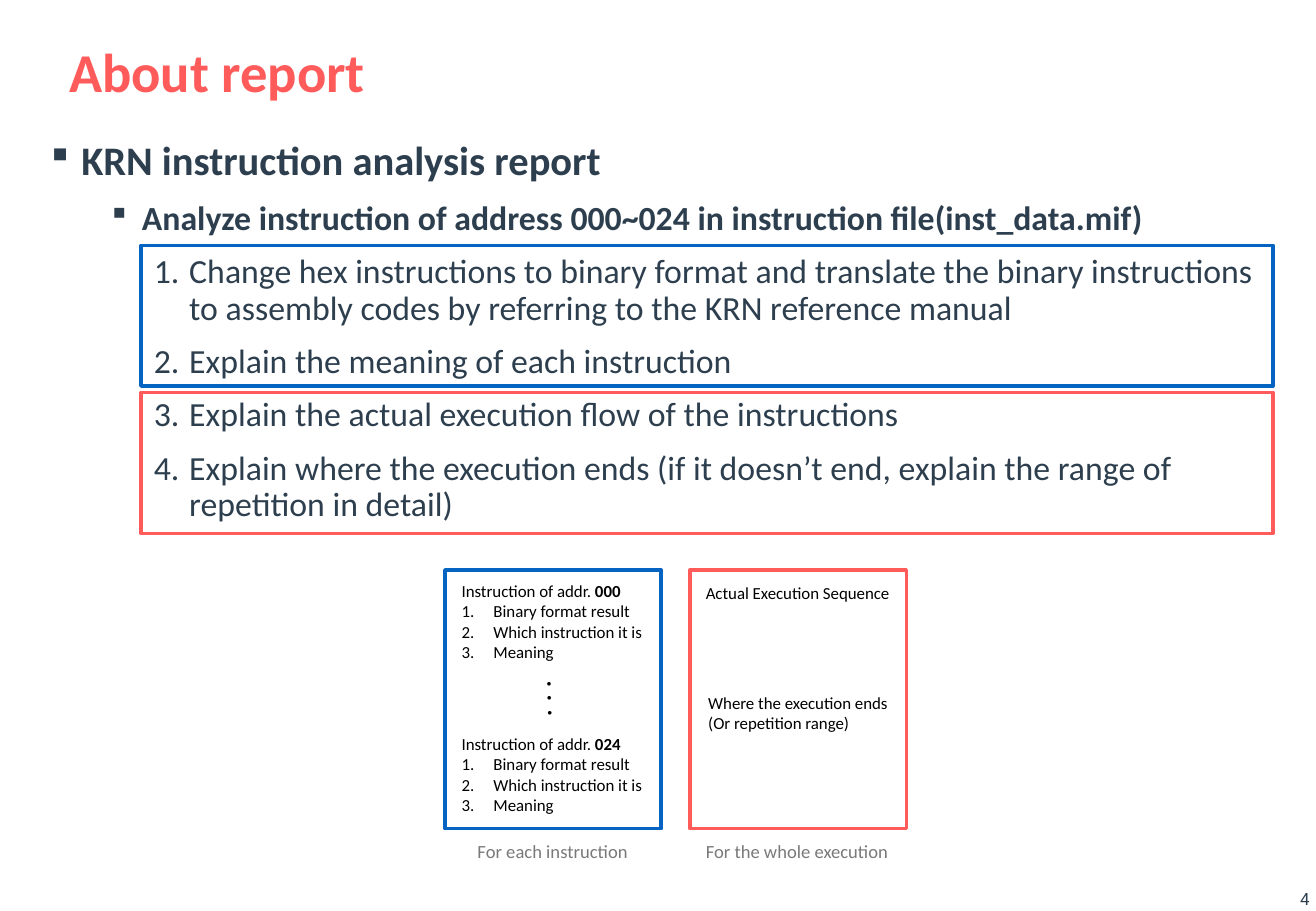
from dataclasses import dataclass

from lxml.etree import SubElement
from pptx import Presentation
from pptx.dml.color import RGBColor
from pptx.enum.shapes import MSO_SHAPE
from pptx.enum.text import MSO_ANCHOR, PP_ALIGN
from pptx.oxml.ns import qn
from pptx.util import Pt


@dataclass(frozen=True)
class Theme:
    """Colours, fonts and type sizes of the slide."""
    ink: str = "2D3F4E"
    black: str = "000000"
    grey: str = "797979"
    blue: str = "0563C1"
    red: str = "FF5B5B"
    font: str = "Calibri"
    number_font: str = "Roboto"
    bullet_font: str = "Wingdings"
    title: float = 32.4
    heading: float = 24
    body: float = 20
    dots: float = 18
    caption: float = 11
    small: float = 10


THEME = Theme()
SQUARE = "§"
NUMBER = "1."


def add_frame(s, left, top, width, height, color):
    """Draw an unfilled rectangle with a coloured outline."""
    sp = s.shapes.add_shape(MSO_SHAPE.RECTANGLE, Pt(left), Pt(top), Pt(width), Pt(height))
    sp.shadow.inherit = False
    sp.fill.background()
    sp.line.color.rgb = RGBColor.from_string(color)
    sp.line.width = Pt(2)


def add_box(s, left, top, width, height, wrap=True, anchor=MSO_ANCHOR.TOP, rotation=0):
    """Add an empty text box and return its text frame."""
    sp = s.shapes.add_textbox(Pt(left), Pt(top), Pt(width), Pt(height))
    sp.rotation = rotation
    tf = sp.text_frame
    tf.word_wrap = wrap
    tf.vertical_anchor = anchor
    tf.margin_left = tf.margin_right = tf.margin_top = tf.margin_bottom = Pt(3.6)
    return tf


def set_bullet(p, bullet, indent, hang):
    """Give a paragraph a square bullet or an automatic number."""
    pPr = p._p.get_or_add_pPr()
    pPr.set("marL", str(Pt(indent)))
    pPr.set("indent", str(-Pt(hang)))
    if bullet == NUMBER:
        SubElement(pPr, qn("a:buAutoNum"), type="arabicPeriod")
    else:
        SubElement(pPr, qn("a:buFont"), typeface=THEME.bullet_font, charset="2")
        SubElement(pPr, qn("a:buChar"), char=bullet)


def write(tf, text, size=THEME.small, color=THEME.black, font=THEME.font, bold=False,
          bold_tail="", bullet=None, indent=0, hang=0, level=0, spacing=None, before=0,
          align=PP_ALIGN.LEFT):
    """Write one formatted paragraph at the end of a text frame."""
    first = not tf.paragraphs[0].runs
    p = tf.paragraphs[0] if first else tf.add_paragraph()
    p.level = level
    p.alignment = align
    if bullet:
        set_bullet(p, bullet, indent, hang)
    if spacing:
        p.line_spacing = spacing
    if before and not first:
        p.space_before = Pt(before)
    for part, is_bold in ((text, bold), (bold_tail, True)):
        if part:
            r = p.add_run()
            r.text = part
            r.font.name = font
            r.font.size = Pt(size)
            r.font.bold = is_bold
            r.font.color.rgb = RGBColor.from_string(color)


def add_tasks(s):
    """Add the report heading and its numbered tasks."""
    tf = add_box(s, 26.6, 79.9, 738.7, 443.5)
    common = dict(color=THEME.ink, spacing=0.9, before=10)
    write(tf, "KRN instruction analysis report", size=THEME.heading, bold=True,
          bullet=SQUARE, indent=18, hang=18, **common)
    write(tf, "Analyze instruction of address 000~024 in instruction file(inst_data.mif)",
          size=THEME.body, bold=True, bullet=SQUARE, indent=54, hang=18, level=1, **common)
    for task in (
        "Change hex instructions to binary format and translate the binary instructions "
        "to assembly codes by referring to the KRN reference manual",
        "Explain the meaning of each instruction",
        "Explain the actual execution flow of the instructions",
        "Explain where the execution ends (if it doesn’t end, explain the range of "
        "repetition in detail)",
    ):
        write(tf, task, size=THEME.body, bullet=NUMBER, indent=82, hang=21, level=2, **common)


def add_instruction(s, top, address):
    """Add the report outline of one instruction address."""
    tf = add_box(s, 270, top, 115.2, 56.9)
    write(tf, "Instruction of addr. ", bold_tail=address)
    for item in ("Binary format result", "Which instruction it is", "Meaning"):
        write(tf, item, bullet=NUMBER, indent=18.9, hang=18.9)


def add_caption(s, left, width, text):
    """Add a grey caption below a report page."""
    write(add_box(s, left, 494.6, width, 18, wrap=False), text,
          size=THEME.caption, color=THEME.grey)


def main():
    """Build the slide and save it."""
    prs = Presentation()
    prs.slide_width, prs.slide_height = Pt(780), Pt(540)
    s = prs.slides.add_slide(prs.slide_layouts[6])

    for color, task_top, page_left in ((THEME.blue, 145.4, 263.7), (THEME.red, 232.6, 409)):
        add_frame(s, 83.5, task_top, 671, 83.5, color)
        add_frame(s, page_left, 337.9, 128.2, 153.4, color)

    write(add_box(s, 37.4, 22.3, 672.5, 44.6, anchor=MSO_ANCHOR.MIDDLE), "About report",
          size=THEME.title, color=THEME.red, bold=True, spacing=0.9)
    add_tasks(s)

    add_instruction(s, 340.6, "000")
    add_instruction(s, 431.3, "024")
    write(add_box(s, 318.2, 401, 29.5, 26.6, rotation=88.5), ". . .", size=THEME.dots)
    write(add_box(s, 414.7, 342, 118.8, 70.6), "Actual Execution Sequence")
    ending = add_box(s, 416.2, 406.8, 115.2, 31)
    write(ending, "Where the execution ends")
    write(ending, "(Or repetition range)")

    add_caption(s, 279.4, 97.2, "For each instruction")
    add_caption(s, 414.7, 115.9, "For the whole execution")
    write(add_box(s, 766.1, 523.4, 13.7, 19.4, wrap=False), "4", color=THEME.ink,
          font=THEME.number_font, align=PP_ALIGN.RIGHT)
    prs.save("out.pptx")


if __name__ == "__main__":
    main()
